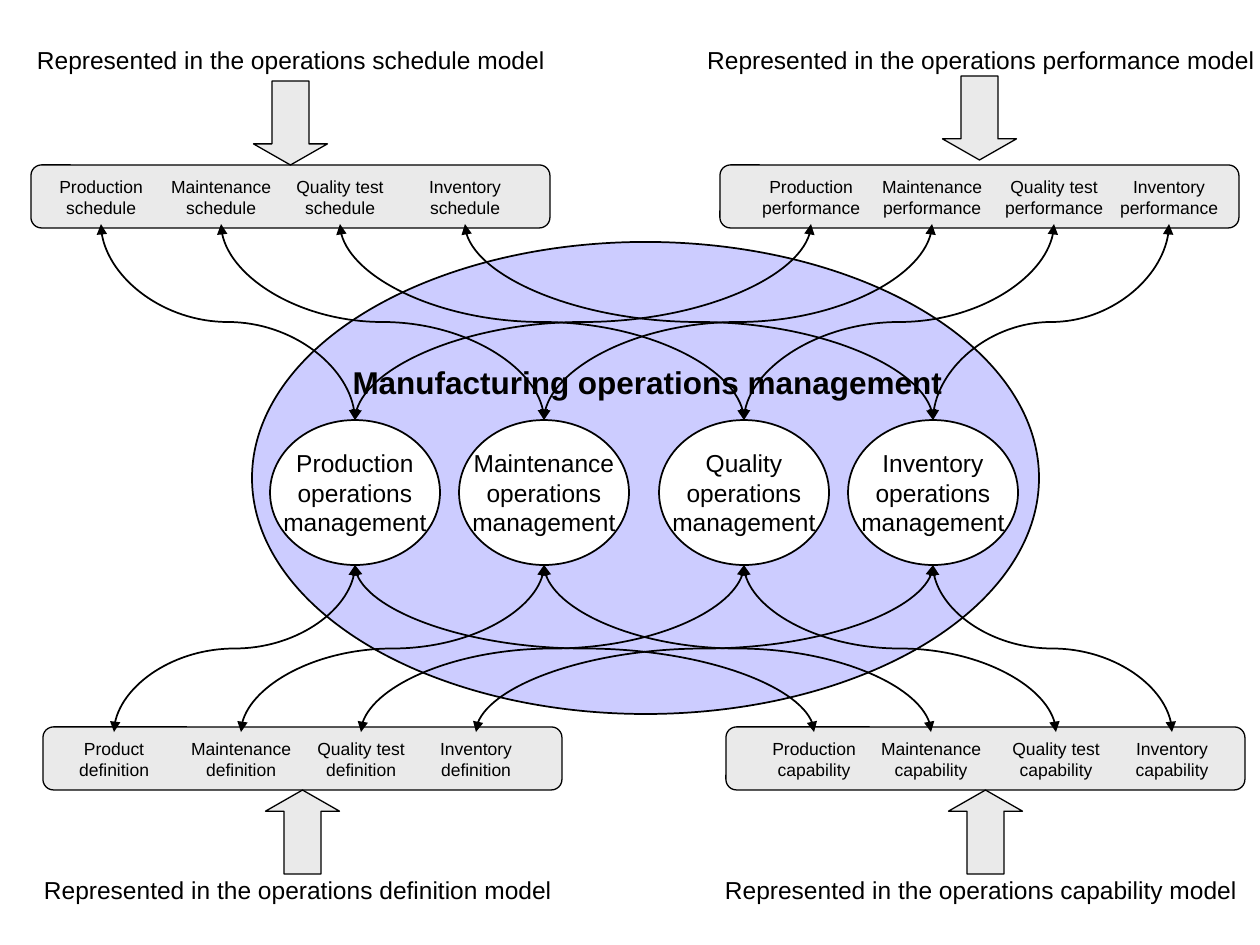
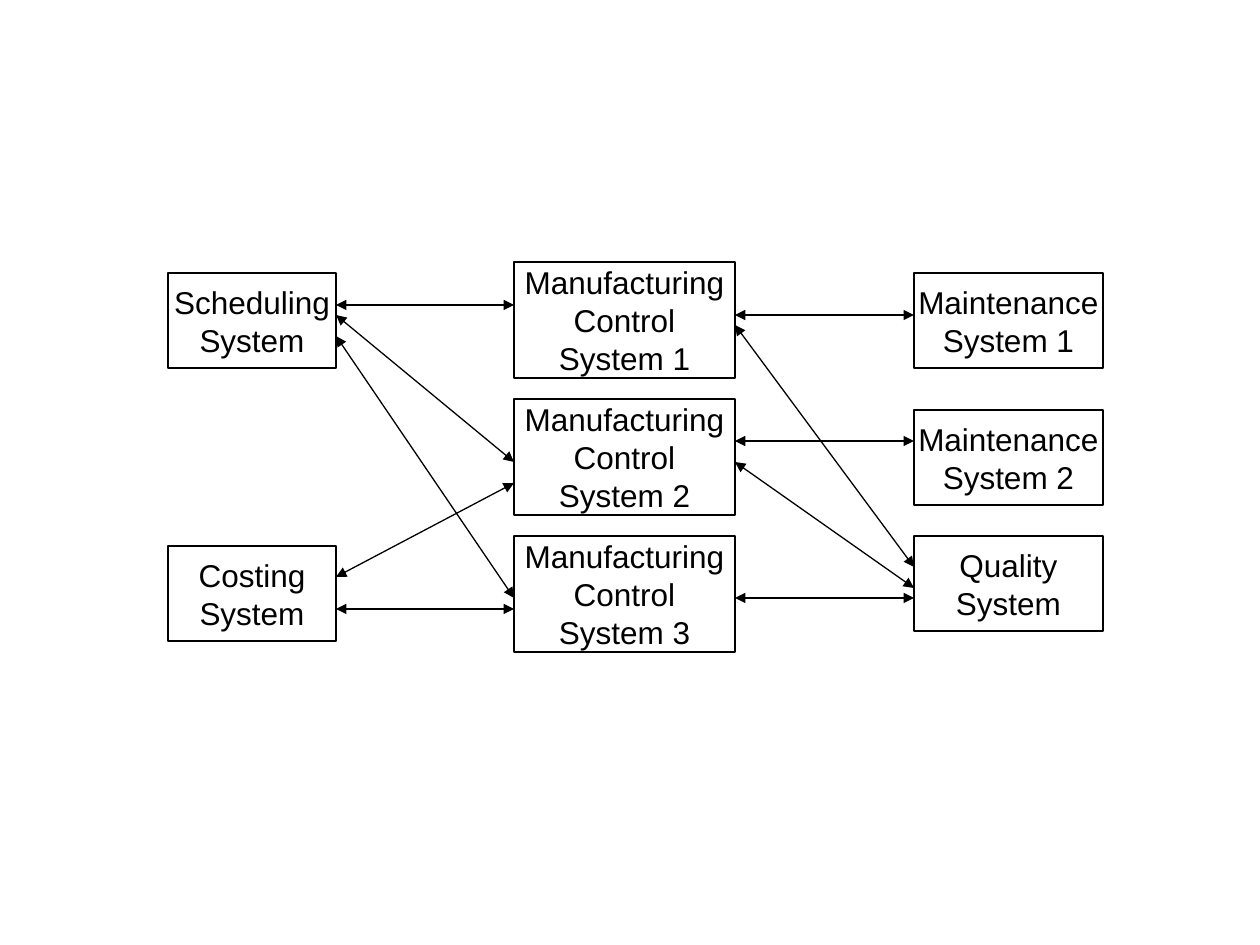
"""Build two diagrams of manufacturing operations and their systems."""
from dataclasses import dataclass

from lxml import etree
from pptx import Presentation
from pptx import util as u
from pptx.dml.color import RGBColor
from pptx.enum import shapes, text
from pptx.oxml.ns import qn


@dataclass(frozen=True)
class Theme:
    """Colours, font, type sizes and line widths."""
    ink: str = "000000"
    paper: str = "FFFFFF"
    bar: str = "EAEAEA"
    field: str = "CCCCFF"
    font: str = "Arial"
    label: int = 10
    body: int = 14
    title: int = 18
    thin: float = 0.75
    thick: float = 1


T = Theme()
SHAPE = shapes.MSO_SHAPE
LINE = shapes.MSO_CONNECTOR

CORE = (252, 242, 787, 472)
OVALS = [("Production", 18), ("Maintenance", 207), ("Quality", 407), ("Inventory", 596)]
OVAL_TOP, OVAL_W, OVAL_H = 178, 170, 145
BAR_W, BAR_H = 519, 63
LABEL_INSET, LABEL_W, LABEL_H = 5, 132, 54
ARROW_W, ARROW_H = 74, 84
CAPTION_W, CAPTION_H = 580, 43
SUBJECTS = ["Production", "Maintenance", "Quality test", "Inventory"]

BARS = [
    dict(model="capability", x=726, y=727, offsets=(88, 205, 330, 446),
         arrow_y=790, caption=(981, 869)),
    dict(model="definition", x=43, y=727, offsets=(71, 198, 318, 433),
         arrow_y=790, caption=(298, 869), first="Product"),
    dict(model="performance", x=720, y=165, offsets=(91, 212, 334, 449),
         arrow_y=76, caption=(981, 39)),
    dict(model="schedule", x=31, y=165, offsets=(70, 190, 309, 434),
         arrow_y=81, caption=(291, 39)),
]

CONTROL = ["Manufacturing", "Control"]
COLUMNS = [
    (168, 168, 95, [(273, ["Scheduling", "System"]), (546, ["Costing", "System"])]),
    (514, 221, 116, [(y, CONTROL + [f"System {n}"])
                     for n, y in enumerate((262, 399, 536), 1)]),
    (914, 189, 95, [(273, ["Maintenance", "System 1"]),
                    (410, ["Maintenance", "System 2"]),
                    (536, ["Quality", "System"])]),
]
LINKS = [
    (336, 514, [(305, 305), (315, 462), (336, 598), (609, 609), (577, 483)]),
    (914, 735, [(598, 598), (588, 462), (567, 325), (315, 315), (441, 441)]),
]


def px(*values):
    """Turn pixels into EMU."""
    return [u.Emu(round(v * 914400 / 126)) for v in values]


def rgb(value):
    """Return the colour of a hex string."""
    return RGBColor.from_string(value)


def write(sp, lines, size, bold=False):
    """Set centred, unwrapped lines of text in a shape."""
    tf = sp.text_frame
    tf.word_wrap = False
    tf.text = "\n".join(lines)
    for p in tf.paragraphs:
        p.alignment = text.PP_ALIGN.CENTER
        for r in p.runs:
            r.font.name, r.font.size, r.font.bold = T.font, u.Pt(size), bold
            r.font.color.rgb = rgb(T.ink)


def add_text(s, box, lines, size, bold=False):
    """Add a text box that grows with its text."""
    sp = s.shapes.add_textbox(*px(*box))
    write(sp, lines, size, bold)
    sp.text_frame.auto_size = text.MSO_AUTO_SIZE.SHAPE_TO_FIT_TEXT


def add_box(s, kind, box, fill, width, lines=(), size=T.body):
    """Add an outlined preset shape with optional centred text."""
    sp = s.shapes.add_shape(kind, *px(*box))
    sp.shadow.inherit = False
    sp.fill.solid()
    sp.fill.fore_color.rgb = rgb(fill)
    sp.line.color.rgb = rgb(T.ink)
    sp.line.width = u.Pt(width)
    if lines:
        write(sp, lines, size)
        sp.text_frame.vertical_anchor = text.MSO_ANCHOR.MIDDLE
    return sp


def add_link(s, kind, start, end, width):
    """Add a line with an arrowhead at both ends."""
    c = s.shapes.add_connector(kind, *px(*start, *end))
    c.line.color.rgb = rgb(T.ink)
    c.line.width = u.Pt(width)
    ln = c.line._get_or_add_ln()
    for tag in ("a:headEnd", "a:tailEnd"):
        etree.SubElement(ln, qn(tag)).set("type", "triangle")
    etree.SubElement(c._element.spPr, qn("a:effectLst"))
    return c


def add_curve(s, top, bottom):
    """Join two points by an S curve that leaves both of them vertically."""
    (x1, y1), (x2, y2) = top, bottom
    mid_x, mid_y = (x1 + x2) / 2, (y1 + y2) / 2
    half_w, half_h = (y2 - y1) / 2, abs(x2 - x1) / 2
    side = 1 if x2 > x1 else -1
    c = add_link(s, LINE.CURVE, (mid_x + side * half_w, mid_y - half_h),
                 (mid_x - side * half_w, mid_y + half_h), T.thick)
    angle = 270 if side > 0 else 90
    c._element.spPr.xfrm.set("rot", str(angle * 60000))


def draw_bar(s, model, x, y, offsets, arrow_y, caption, first=SUBJECTS[0]):
    """Draw a model's bar with its labels, block arrow and caption."""
    add_box(s, SHAPE.ROUNDED_RECTANGLE, (x, y, BAR_W, BAR_H), T.bar, T.thin)
    arrow = add_box(s, SHAPE.DOWN_ARROW,
                    (x + (BAR_W - ARROW_W) / 2, arrow_y, ARROW_W, ARROW_H),
                    T.bar, T.thin)
    arrow.adjustments[1] = 0.285
    arrow.rotation = 180 if arrow_y > y else 0
    mid, top = caption
    add_text(s, (mid - CAPTION_W / 2, top, CAPTION_W, CAPTION_H),
             [f"Represented in the operations {model} model"], T.body)
    for subject, offset in zip([first] + SUBJECTS[1:], offsets):
        add_text(s, (x + offset - LABEL_W / 2, y + LABEL_INSET, LABEL_W, LABEL_H),
                 [subject, model], T.label)


def draw_ovals(s, left, top):
    """Draw the four management ovals and return their centre lines."""
    for subject, offset in OVALS:
        add_box(s, SHAPE.OVAL, (left + offset, top, OVAL_W, OVAL_H), T.paper,
                T.thick, [subject, "operations", "management"])
    return [left + offset + OVAL_W / 2 for _, offset in OVALS]


def draw_curves(s, bar, centres, oval_top):
    """Link each label of a bar to its oval."""
    label_top = bar["y"] + LABEL_INSET
    for offset, centre in zip(bar["offsets"], centres):
        label_x = bar["x"] + offset
        if label_top < oval_top:
            add_curve(s, (label_x, label_top + LABEL_H), (centre, oval_top))
        else:
            add_curve(s, (centre, oval_top + OVAL_H), (label_x, label_top))


def operations_slide(s):
    """Draw the operations management diagram."""
    left, top = CORE[:2]
    add_box(s, SHAPE.OVAL, CORE, T.field, T.thick)
    for bar in BARS:
        draw_bar(s, **bar)
    centres = draw_ovals(s, left, top + OVAL_TOP)
    for bar in BARS:
        draw_curves(s, bar, centres, top + OVAL_TOP)
    add_text(s, (left + 88, top + 115, 615, 50),
             ["Manufacturing operations management"], T.title, True)


def systems_slide(s):
    """Draw the systems and the links between them."""
    for x, w, h, systems in COLUMNS:
        for y, lines in systems:
            add_box(s, SHAPE.RECTANGLE, (x, y, w, h), T.paper, T.thin, lines, T.title)
    for x1, x2, heights in LINKS:
        for y1, y2 in heights:
            add_link(s, LINE.STRAIGHT, (x1, y1), (x2, y2), T.thin)


def main():
    """Build and save the presentation."""
    prs = Presentation()
    prs.slide_width, prs.slide_height = px(1260, 945)
    for draw in (operations_slide, systems_slide):
        draw(prs.slides.add_slide(prs.slide_layouts[6]))
    prs.save("out.pptx")


if __name__ == "__main__":
    main()
